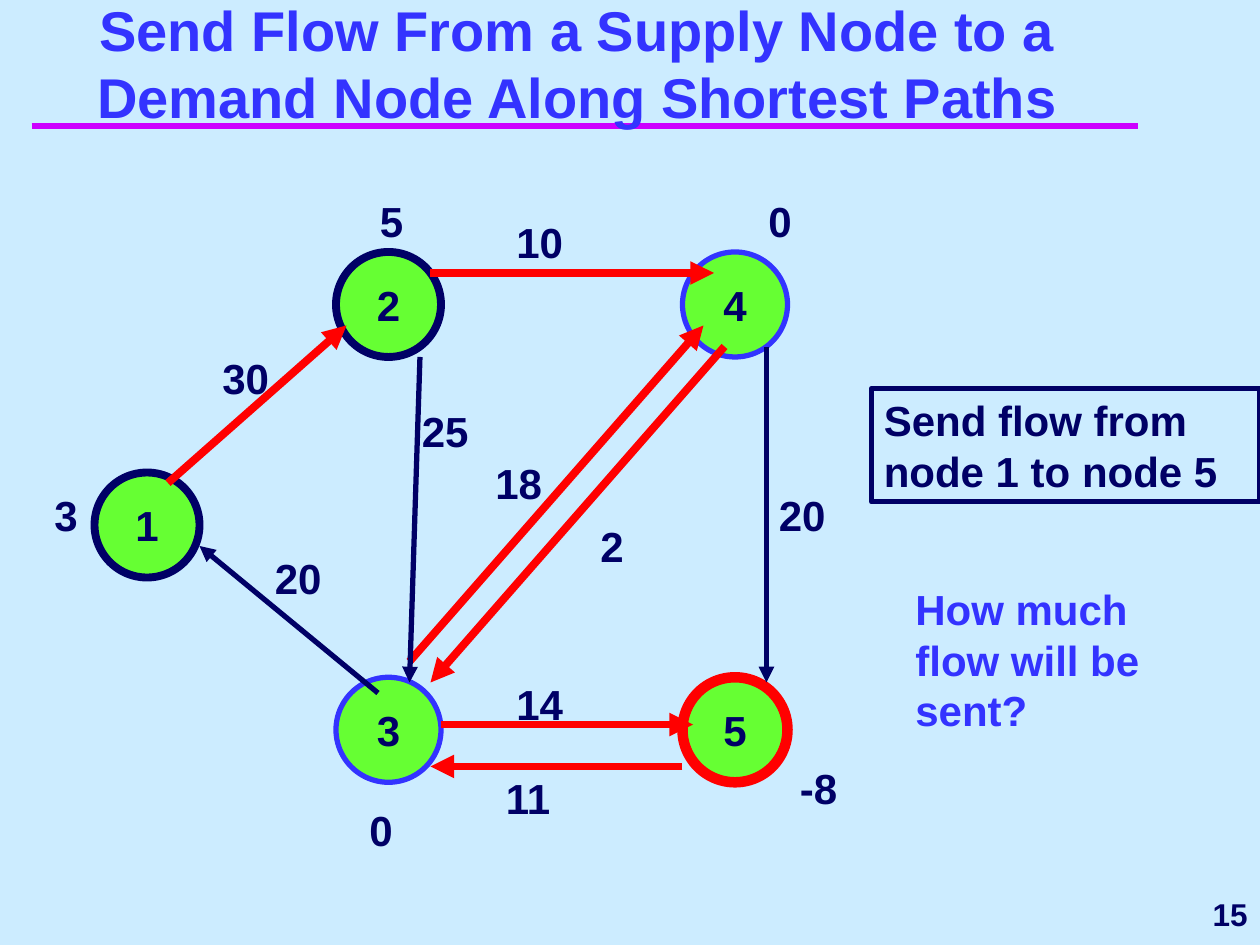
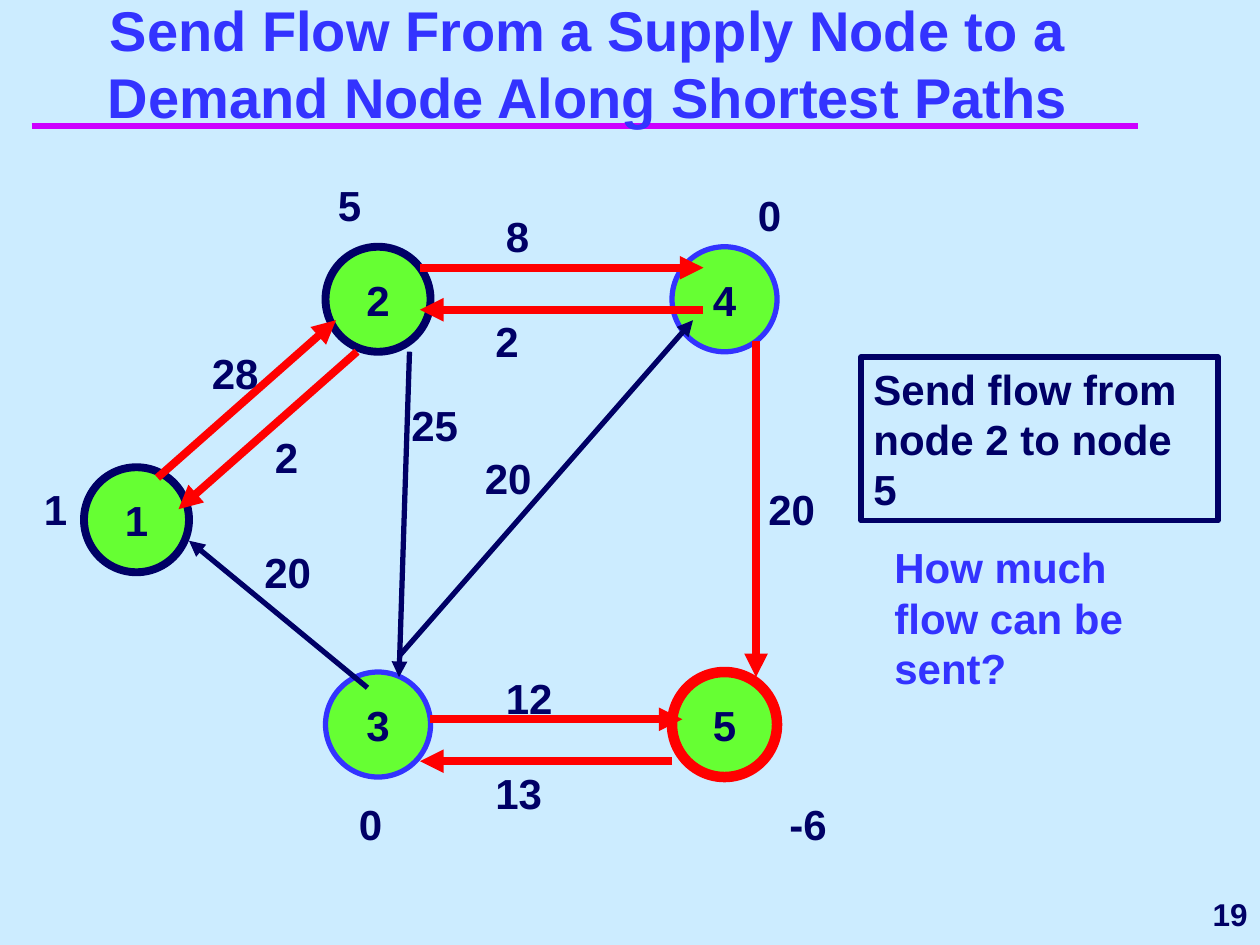
from dataclasses import dataclass

from lxml import etree
from pptx import Presentation
from pptx.dml.color import RGBColor
from pptx.enum.shapes import MSO_CONNECTOR, MSO_SHAPE
from pptx.enum.text import MSO_ANCHOR, MSO_AUTO_SIZE, PP_ALIGN
from pptx.oxml.ns import qn
from pptx.util import Cm, Pt

STRAIGHT = MSO_CONNECTOR.STRAIGHT
OVAL, RECT = MSO_SHAPE.OVAL, MSO_SHAPE.RECTANGLE
TOP, MIDDLE, BOTTOM = MSO_ANCHOR.TOP, MSO_ANCHOR.MIDDLE, MSO_ANCHOR.BOTTOM
LEFT, CENTER, RIGHT = PP_ALIGN.LEFT, PP_ALIGN.CENTER, PP_ALIGN.RIGHT
FIXED = MSO_AUTO_SIZE.NONE

# Palette
SKY, NAVY, BLUE = "CCECFF", "000066", "3333FF"
GREEN, RED, PURPLE = "66FF33", "FF0000", "CC00FF"

# All places are counted on a grid of twelve steps to 2.54 cm
STEP = 2.54 / 12
NODE, ROW = 10, 6
TITLE = "Send Flow From a Supply Node to a Demand Node Along Shortest Paths"

Point = tuple[float, float]
Area = tuple[float, float, float, float]


@dataclass
class Style:
    size: int = 24
    color: str = NAVY
    align: PP_ALIGN = LEFT
    anchor: MSO_ANCHOR = TOP
    wrap: bool = True


@dataclass
class Node:
    name: str
    at: Point
    color: str
    width: float


@dataclass
class Arc:
    start: Point
    end: Point
    label: Point


@dataclass
class Tag:
    text: str
    at: Point


@dataclass
class Page:
    number: str
    left: float             # left edge of the title
    shift: Point            # offset of the whole network
    flows: dict[str, str]   # arc -> residual capacity
    hot: set[str]           # arcs on shortest paths
    supply: list[Tag]
    task: str
    task_at: Area
    ask: str
    ask_at: Area


LABEL = Style()
DISC = Style(align=CENTER, anchor=MIDDLE, wrap=False)
ASK = Style(color=BLUE)
HEAD = Style(32, BLUE, CENTER, BOTTOM)
FOOT = Style(18, align=RIGHT, anchor=MIDDLE)

# The network
NODES = [
    Node("1", (9, 45), NAVY, 4.5),
    Node("2", (32, 24), NAVY, 4.5),
    Node("3", (32, 64.5), BLUE, 3),
    Node("5", (65, 64.5), RED, 6),
    Node("4", (65, 24), BLUE, 3),
]
ARCS = {
    "1-2": Arc((16, 46), (33, 31), (20, 33)),
    "2-4": Arc((41, 26), (68, 26), (48, 20)),
    "4-5": Arc((73, 33), (73, 65), (73, 46)),
    "3-4": Arc((39, 63), (67, 31), (46, 43)),
    "3-5": Arc((42, 69), (66, 69), (48, 64)),
    "2-3": Arc((40, 34), (39, 65), (39, 38)),
    "3-1": Arc((36, 66), (19, 52), (25, 52)),
    "4-3": Arc((69, 33), (41, 65), (56, 49)),
    "5-3": Arc((65, 73), (41, 73), (47, 73)),
    "2-1": Arc((35, 34), (18, 49), (26, 41)),
    "4-2": Arc((68, 30), (41, 30), (47, 30)),
}

PAGES = [
    Page(
        "15", 4, (0, 0),
        {"1-2": "30", "2-4": "10", "4-5": "20", "3-4": "18", "3-5": "14",
         "2-3": "25", "3-1": "20", "4-3": "2", "5-3": "11"},
        {"1-2", "2-4", "3-4", "3-5", "4-3", "5-3"},
        [Tag("3", (4, 46)), Tag("5", (35, 18)), Tag("0", (34, 76)),
         Tag("0", (72, 18)), Tag("-8", (75, 72))],
        "Send flow from node 1 to node 5", (83, 37, 37, 10.8),
        "How much flow will be sent?", (86, 55, 26, 15.6),
    ),
    Page(
        "19", 5, (-1, -0.5),
        {"1-2": "28", "2-4": "8", "4-5": "20", "3-4": "20", "3-5": "12",
         "2-3": "25", "3-1": "20", "5-3": "13", "2-1": "2", "4-2": "2"},
        {"1-2", "2-4", "4-5", "3-5", "5-3", "2-1", "4-2"},
        [Tag("1", (4, 46)), Tag("5", (32, 17)), Tag("0", (34, 76)),
         Tag("0", (72, 18)), Tag("-6", (75, 76))],
        "Send flow from node 2 to node 5", (82, 34, 34, 15.6),
        "How much flow can be sent?", (84, 51, 27, 15.6),
    ),
]


def grid(*steps: float) -> list[Cm]:
    return [Cm(n * STEP) for n in steps]


def move(at: Point, shift: Point) -> Point:
    return at[0] + shift[0], at[1] + shift[1]


def paint(part, color: str) -> None:
    """Give a fill a solid colour."""
    part.solid()
    part.fore_color.rgb = RGBColor.from_string(color)


def apply(item, values: dict) -> None:
    for key, value in values.items():
        setattr(item, key, value)


def write(shape, text: str, style: Style) -> None:
    frame = shape.text_frame
    apply(frame, {"text": text, "auto_size": FIXED, "word_wrap": style.wrap,
                  "vertical_anchor": style.anchor})
    para = frame.paragraphs[0]
    para.alignment = style.align
    font = para.runs[0].font
    apply(font, {"name": "Arial", "size": Pt(style.size), "bold": True})
    paint(font.fill, style.color)


def note(slide, text: str, area: Area, style: Style = LABEL) -> None:
    write(slide.shapes.add_textbox(*grid(*area)), text, style)


def form(slide, kind, area: Area, color: str, width: float):
    """Add an outlined shape without fill."""
    shape = slide.shapes.add_shape(kind, *grid(*area))
    shape.shadow.inherit = False
    shape.fill.background()
    paint(shape.line.fill, color)
    shape.line.width = Pt(width)
    return shape


def link(slide, start: Point, end: Point, color: str, width: float,
         arrow: bool = True):
    line = slide.shapes.add_connector(STRAIGHT, *grid(*start, *end))
    paint(line.line.fill, color)
    line.line.width = Pt(width)
    props = line.element.spPr
    if arrow:
        etree.SubElement(props.find(qn("a:ln")), qn("a:tailEnd"),
                         type="triangle")
    etree.SubElement(props, qn("a:effectLst"))
    return line


def draw(slide, page: Page) -> None:
    # Title and page number
    title = slide.shapes.title
    left, top, width, height = grid(page.left, 8, 102, 5)
    apply(title, {"left": left, "top": top, "width": width, "height": height})
    write(title, TITLE, HEAD)
    note(slide, page.number, (97, 84, 23, ROW), FOOT)

    # Nodes
    for node in NODES:
        area = (*move(node.at, page.shift), NODE, NODE)
        disc = form(slide, OVAL, area, node.color, node.width)
        paint(disc.fill, GREEN)
        write(disc, node.name, DISC)

    # Arcs with capacities
    for key, arc in ARCS.items():
        if key not in page.flows:
            continue
        color, width = (RED, 4.5) if key in page.hot else (NAVY, 3)
        link(slide, move(arc.start, page.shift), move(arc.end, page.shift),
             color, width)
        note(slide, page.flows[key], (*move(arc.label, page.shift), 14, ROW))

    # Supplies and demands
    for tag in page.supply:
        note(slide, tag.text, (*move(tag.at, page.shift), 9, ROW))

    # Task and question
    write(form(slide, RECT, page.task_at, NAVY, 3), page.task, LABEL)
    note(slide, page.ask, page.ask_at, ASK)


def main() -> None:
    deck = Presentation()
    deck.slide_width, deck.slide_height = grid(120, 90)
    master = deck.slide_master
    paint(master.background.fill, SKY)
    slides = [deck.slides.add_slide(deck.slide_layouts[5]) for _ in PAGES]

    # The rule under the title belongs to the master
    rule = link(slides[0], (3, 12), (108.4, 12), PURPLE, 4, arrow=False)
    rule.element.nvCxnSpPr.cNvPr.id = 20
    master.shapes.element.append(rule.element)

    for slide, page in zip(slides, PAGES):
        draw(slide, page)
    deck.save("out.pptx")


if __name__ == "__main__":
    main()
